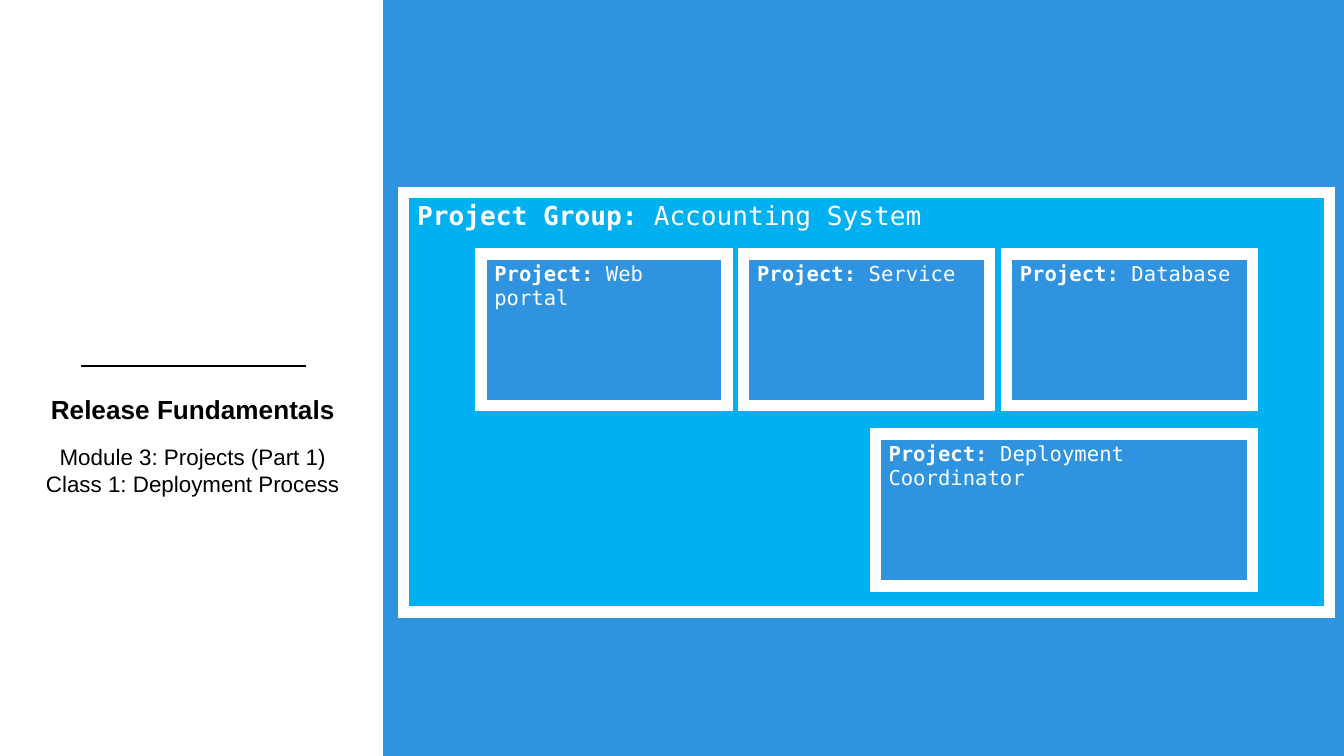
from lxml.etree import SubElement
from pptx import Presentation
from pptx.dml.color import RGBColor
from pptx.enum.shapes import MSO_CONNECTOR as LINK, MSO_SHAPE as FORM
from pptx.enum.text import MSO_ANCHOR as ANCHOR, MSO_AUTO_SIZE as AUTO, PP_ALIGN as ALIGN
from pptx.oxml.ns import qn
from pptx.util import Inches, Pt

WIDE = Inches(10)
HIGH = WIDE * 9 // 16
WHITE = RGBColor(0xFF, 0xFF, 0xFF)
BLACK = RGBColor(0, 0, 0)
BLUE = RGBColor(0x2F, 0x93, 0xE0)
CYAN = RGBColor(0x00, 0xB0, 0xF0)
SANS, MONO = "Arial", "DejaVu Sans Mono"

# Card grid, in percent of the slide's width and height
LEFT, TOP = 35.8, 33.6
STEP_X, STEP_Y = 19.55, 23.82
CARD_W, CARD_H = 18.3, 20.1

# Name, column, row, columns spanned
CARDS = [
    ("Database", 2, 0, 1),
    ("Service", 1, 0, 1),
    ("Web portal", 0, 0, 1),
    ("Deployment Coordinator", 1.5, 1, 1.5),
]


def share(x, y):
    """Turn percent of the slide's size into lengths."""
    return round(WIDE * x / 100), round(HIGH * y / 100)


def style(font, **look):
    color = look.pop("color")
    for key, value in look.items():
        setattr(font, key, value)
    font.color.rgb = color


def add_rect(slide, x, y, w, h, fill):
    rect = slide.shapes.add_shape(FORM.RECTANGLE, *share(x, y), *share(w, h))
    rect.shadow.inherit = False
    rect.fill.solid()
    rect.fill.fore_color.rgb = fill
    rect.line.fill.background()
    return rect


def add_box(slide, x, y, w, h, fill, label, name, size):
    """Add a white-framed box with a bold label and a plain name."""
    box = add_rect(slide, x, y, w, h, fill)
    box.line.color.rgb = WHITE
    box.line.width = Pt(6)
    SubElement(box._element.spPr.find(qn("a:ln")), qn("a:miter"), lim="800000")
    frame = box.text_frame
    frame.word_wrap = True
    frame.vertical_anchor = ANCHOR.TOP
    para = frame.paragraphs[0]
    para.alignment = ALIGN.LEFT
    for text, bold in ((label, True), (" " + name, False)):
        run = para.add_run()
        run.text = text
        style(run.font, name=MONO, size=Pt(size), bold=bold, color=WHITE)


def add_rule(slide, x, y, w):
    rule = slide.shapes.add_connector(LINK.STRAIGHT, *share(x, y), *share(x + w, y))
    rule.line.color.rgb = BLACK
    rule.line.width = Pt(0.75)
    SubElement(rule._element.spPr, qn("a:effectLst"))


def fill_holder(holder, y, h, lines, size, bold):
    """Move a placeholder into the side column and set its centred lines."""
    holder.left, holder.top = share(0.8, y)
    holder.width, holder.height = share(27.1, h)
    frame = holder.text_frame
    frame.text = "\n".join(lines)
    frame.word_wrap = True
    frame.auto_size = AUTO.NONE
    frame.vertical_anchor = ANCHOR.TOP
    for side in ("left", "top", "right", "bottom"):
        setattr(frame, "margin_" + side, Inches(0.1))
    for para in frame.paragraphs:
        props = para._p.get_or_add_pPr()
        props.set("marL", "0")
        props.set("indent", "0")
        SubElement(props, qn("a:buNone"))
        para.alignment = ALIGN.CENTER
        para.space_before = Pt(0)
        para.line_spacing = 1.0
        for run in para.runs:
            style(run.font, name=SANS, size=Pt(size), bold=bold, color=BLACK)


def main():
    deck = Presentation()
    deck.slide_width, deck.slide_height = WIDE, HIGH
    slide = deck.slides.add_slide(deck.slide_layouts[1])
    title, body = slide.placeholders

    add_rect(slide, 28.5, 0, 71.5, 100, BLUE)
    add_rule(slide, 6, 48.4, 16.8)
    fill_holder(title, 50.2, 7, ["Release Fundamentals"], 14, True)
    fill_holder(body, 56.8, 11,
                ["Module 3: Projects (Part 1)", "Class 1: Deployment Process"], 12, False)

    add_box(slide, 30.05, 25.5, 68.9, 55.47, CYAN, "Project Group:", "Accounting System", 14)
    for name, col, row, span in CARDS:
        add_box(slide, LEFT + col * STEP_X, TOP + row * STEP_Y,
                CARD_W + (span - 1) * STEP_X, CARD_H, BLUE, "Project:", name, 11)

    deck.save("out.pptx")


if __name__ == "__main__":
    main()
